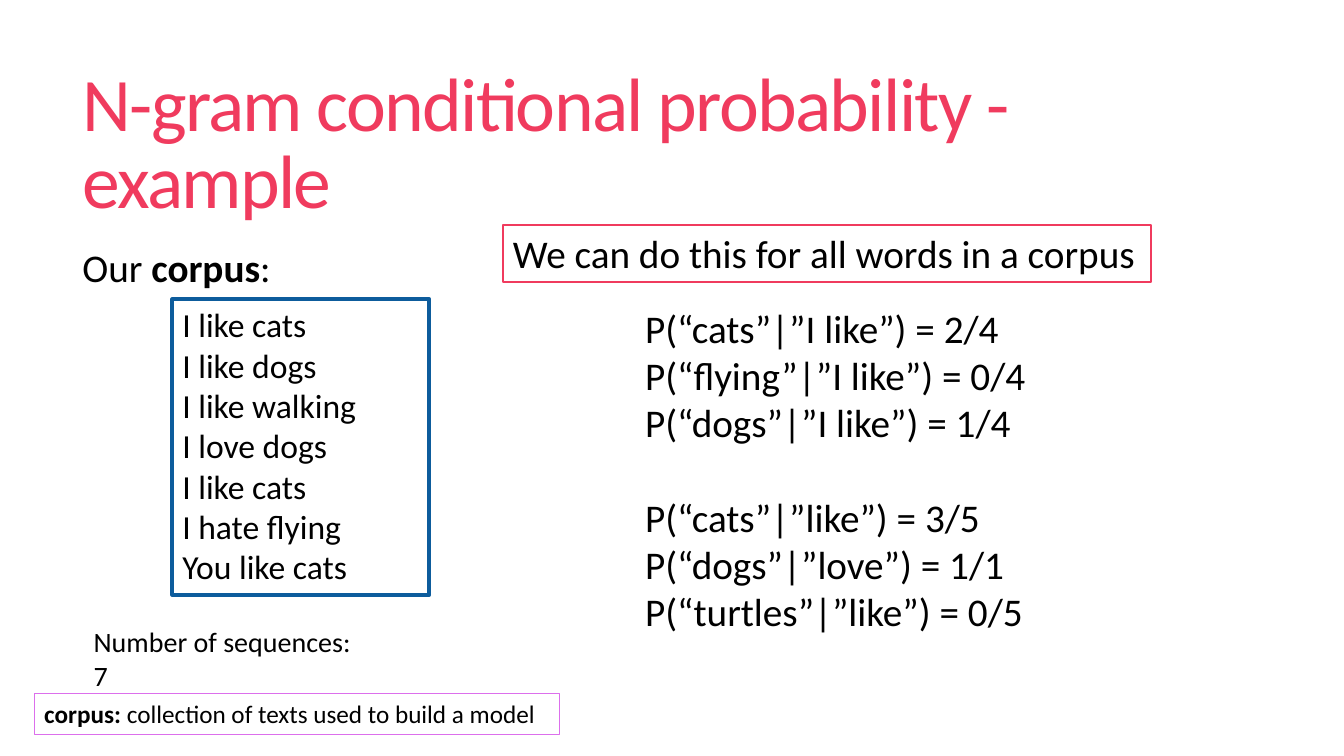
from dataclasses import dataclass

from pptx import Presentation
from pptx import util as u
from pptx.dml.color import RGBColor
from pptx.enum import shapes, text
from pptx.oxml.ns import qn

CELL = u.Inches(7.5) / 54


@dataclass(frozen=True)
class Theme:
    """Colours, font and type sizes of the slide."""
    font: str = "Calibri"
    ink: str = "000000"
    accent: str = "F03B5E"
    corpus: str = "0D5C9C"
    glossary: str = "DC6FEC"
    title: int = 54
    lead: int = 28
    sample: int = 24
    count: int = 20
    note: int = 18


THEME = Theme()

SENTENCES = ["I like cats", "I like dogs", "I like walking", "I love dogs",
             "I like cats", "I hate flying", "You like cats"]
TRIGRAMS = ["P(“cats”|”I like”) = 2/4", "P(“flying”|”I like”) = 0/4",
            "P(“dogs”|”I like”) = 1/4"]
BIGRAMS = ["P(“cats”|”like”) = 3/5", "P(“dogs”|”love”) = 1/1",
           "P(“turtles”|”like”) = 0/5"]


def grid(*cells):
    """Turn columns and rows of the 96 by 54 grid into lengths."""
    return [u.Emu(round(cell * CELL)) for cell in cells]


def place(placeholder, cells):
    """Move a placeholder to its cells."""
    (placeholder.left, placeholder.top,
     placeholder.width, placeholder.height) = grid(*cells)


def write(frame, lines, size, color=THEME.ink, bold=""):
    """Write left-aligned lines, setting the bold phrase apart."""
    frame.word_wrap = True
    frame.text = "\n".join(lines)
    for paragraph in frame.paragraphs:
        paragraph.alignment = text.PP_ALIGN.LEFT
        line = paragraph.text
        if bold and bold in line:
            before, after = line.split(bold, 1)
            paragraph.clear()
            for part in filter(None, (before, bold, after)):
                run = paragraph.add_run()
                run.text = part
                run.font.bold = part == bold
        for run in paragraph.runs:
            run.font.name = THEME.font
            run.font.size = u.Pt(size)
            run.font.color.rgb = RGBColor.from_string(color)


def add_title(slide, heading, cells):
    """Fill the title with tightened letters and lines."""
    title = slide.shapes.title
    place(title, cells)
    frame = title.text_frame
    write(frame, [heading], THEME.title, THEME.accent)
    frame.auto_size = text.MSO_AUTO_SIZE.NONE
    frame.vertical_anchor = text.MSO_ANCHOR.MIDDLE
    frame.paragraphs[0].line_spacing = 0.85
    frame.paragraphs[0].runs[0].font._element.set("spc", "-120")


def add_probabilities(slide, groups, cells):
    """Fill the body with groups of unbulleted lines, one line apart."""
    body = slide.placeholders[1]
    place(body, cells)
    frame = body.text_frame
    write(frame, [line for group in groups for line in group], THEME.lead)
    frame.auto_size = text.MSO_AUTO_SIZE.NONE
    group_starts = {len(groups[0])}
    for index, paragraph in enumerate(frame.paragraphs):
        gap = THEME.lead * 1.22 if index in group_starts else 0
        paragraph.space_before = u.Pt(gap)
        properties = paragraph._p.get_or_add_pPr()
        properties.set("marL", "0")
        properties.set("indent", "0")
        properties.append(properties.makeelement(qn("a:buNone"), {}))


def add_label(slide, label, size, cells, bold="", wrap=True):
    """Add a line of plain text."""
    frame = slide.shapes.add_textbox(*grid(*cells)).text_frame
    write(frame, [label], size, bold=bold)
    frame.word_wrap = wrap
    frame.auto_size = text.MSO_AUTO_SIZE.SHAPE_TO_FIT_TEXT


def add_frame(slide, lines, size, outline, weight, cells, bold=""):
    """Add text inside an outlined rectangle."""
    box = slide.shapes.add_shape(shapes.MSO_SHAPE.RECTANGLE, *grid(*cells))
    box.shadow.inherit = False
    box.fill.background()
    box.line.color.rgb = RGBColor.from_string(outline)
    box.line.width = u.Pt(weight)
    write(box.text_frame, lines, size, bold=bold)
    box.text_frame.vertical_anchor = text.MSO_ANCHOR.TOP
    box.text_frame.auto_size = text.MSO_AUTO_SIZE.SHAPE_TO_FIT_TEXT


def main():
    """Build and save the slide."""
    deck = Presentation()
    deck.slide_width, deck.slide_height = grid(96, 54)
    slide = deck.slides.add_slide(deck.slide_layouts[1])
    add_title(slide, "N-gram conditional probability - example",
              (5.18, 3.96, 84.82, 13.03))
    add_label(slide, "Our corpus:", THEME.lead, (5.18, 17, 22.97, 4.1),
              bold="corpus")
    add_frame(slide, ["corpus: collection of texts used to build a model"],
              THEME.note, THEME.glossary, 0.75, (2.45, 49.54, 37.5, 2.9),
              bold="corpus: ")
    add_frame(slide, SENTENCES, THEME.sample, THEME.corpus, 3,
              (12.31, 21.38, 18.36, 21.1))
    add_label(slide, f"Number of sequences: {len(SENTENCES)}", THEME.count,
              (5.98, 44.28, 21.24, 3.17), wrap=False)
    add_probabilities(slide, [TRIGRAMS, BIGRAMS], (45.36, 21.38, 48.6, 24.48))
    add_frame(slide, ["We can do this for all words in a corpus"],
              THEME.lead, THEME.accent, 1.5, (35.93, 16.06, 46.3, 4.1))
    deck.save("out.pptx")


if __name__ == "__main__":
    main()
